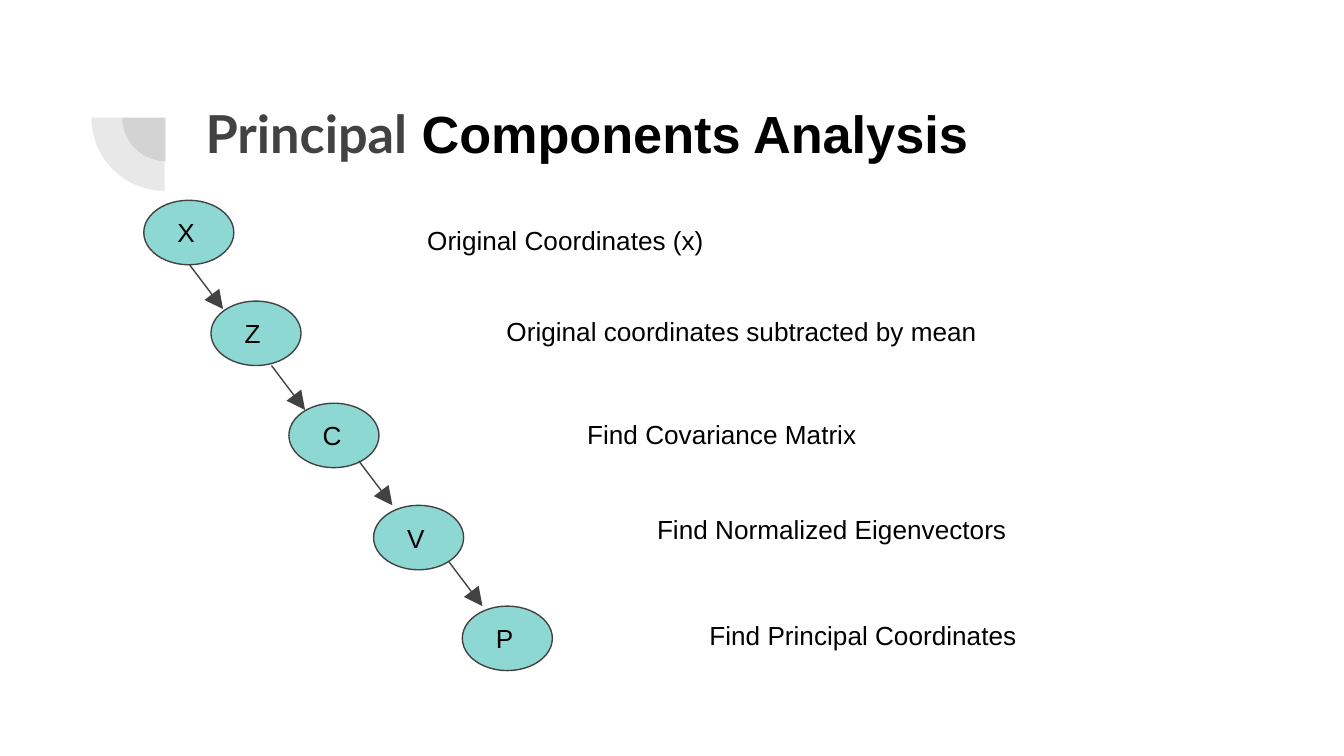
from lxml import etree
from pptx import Presentation
from pptx.dml.color import RGBColor
from pptx.enum.shapes import MSO_CONNECTOR, MSO_SHAPE
from pptx.enum.text import MSO_ANCHOR as ANCHOR, PP_ALIGN as ALIGN
from pptx.oxml.ns import qn
from pptx.util import Inches, Pt

COLORS = {"ink": "424242", "text": "000000", "node": "8DD8D3", "back": "FFFFFF"}


class SlideBuilder:
    font, size, line_width = "Arial", Pt(14), Pt(0.75)

    def __init__(self, slide):
        self.slide = slide
        self.shapes = slide.shapes

    def color(self, name):
        return RGBColor.from_string(COLORS[name])

    def outline(self, s, name):
        s.line.color.rgb = self.color(name)
        s.line.width = self.line_width

    def place(self, s, x, y, w, h):
        s.left, s.top, s.width, s.height = map(Inches, (x, y, w, h))

    def frame(self, s, anchor=ANCHOR.TOP):
        tf = s.text_frame
        tf.word_wrap = True
        tf.vertical_anchor = anchor
        tf.margin_left = tf.margin_right = Inches(0.1)
        tf.margin_top = tf.margin_bottom = Inches(0.1)
        p = tf.paragraphs[0]
        p.alignment = ALIGN.LEFT
        return p

    def run(self, p, text, size=None, font=None, color="text", bold=False):
        r = p.add_run()
        r.text = text
        r.font.name = font or self.font
        r.font.size = size or self.size
        r.font.bold = bold
        r.font.color.rgb = self.color(color)

    def title(self, runs, x, y, w, h):
        s = self.shapes.title
        self.place(s, x, y, w, h)
        self.outline(s, "back")
        p = self.frame(s)
        for text, font, color in runs:
            self.run(p, text, Pt(28), font, color, bold=True)

    def quarter(self, x, y, d):
        s = self.shapes.add_shape(MSO_SHAPE.PIE, *map(Inches, (x, y, d, d)))
        s.shadow.inherit = False
        s.rotation = 270
        s.adjustments[0], s.adjustments[1] = 108, 162
        s.fill.solid()
        s.fill.fore_color.rgb = self.color("ink")
        clr = s._element.spPr.find(qn("a:solidFill"))[0]
        etree.SubElement(clr, qn("a:alpha"), val="12000")
        s.line.fill.background()

    def node(self, text, x, y, w=0.67, h=0.48):
        s = self.shapes.add_shape(MSO_SHAPE.OVAL, *map(Inches, (x, y, w, h)))
        s.shadow.inherit = False
        s.fill.solid()
        s.fill.fore_color.rgb = self.color("node")
        self.outline(s, "ink")
        self.run(self.frame(s, ANCHOR.MIDDLE), text)

    def arrow(self, x, y, dx=0.25, dy=0.33):
        s = self.shapes.add_connector(
            MSO_CONNECTOR.STRAIGHT, *map(Inches, (x, y, x + dx, y + dy)))
        self.outline(s, "ink")
        etree.SubElement(s.line._get_or_add_ln(), qn("a:tailEnd"),
                         type="triangle", w="lg", len="lg")
        etree.SubElement(s._element.spPr, qn("a:effectLst"))

    def label(self, text, x, y, w=3.38, h=0.33):
        s = self.shapes.add_textbox(*map(Inches, (x, y, w, h)))
        self.run(self.frame(s), text)


def main():
    prs = Presentation()
    prs.slide_width = Inches(10)
    prs.slide_height = Inches(10 * 9 / 16)
    b = SlideBuilder(prs.slides.add_slide(prs.slide_layouts[5]))

    # Corner ornament
    b.quarter(0.91, 0.55, 0.65)
    b.quarter(0.68, 0.33, 1.09)

    # Title
    b.title([("Principal", "Lato", "ink"),
             (" Components Analysis", "Arial", "text")], 1.43, 0.65, 6.69, 0.57)

    # Chain of steps
    for name, x, y in ((" X", 1.07, 1.49), (" Z", 1.57, 2.24), (" C", 2.15, 3),
                       (" V", 2.78, 3.76), (" P", 3.44, 4.51)):
        b.node(name, x, y)

    # Arrows between steps
    for x, y in ((1.41, 1.97), (2.02, 2.72), (2.67, 3.43), (3.34, 4.18)):
        b.arrow(x, y)

    # Step descriptions
    b.label("Original Coordinates (x)", 3.08, 1.57)
    b.label("Original coordinates subtracted by mean", 3.67, 2.25, w=5.27)
    b.label("Find Covariance Matrix", 4.27, 3.01)
    b.label("Find Normalized Eigenvectors", 4.79, 3.72)
    b.label("Find Principal Coordinates", 5.18, 4.51)

    prs.save("out.pptx")


if __name__ == "__main__":
    main()
